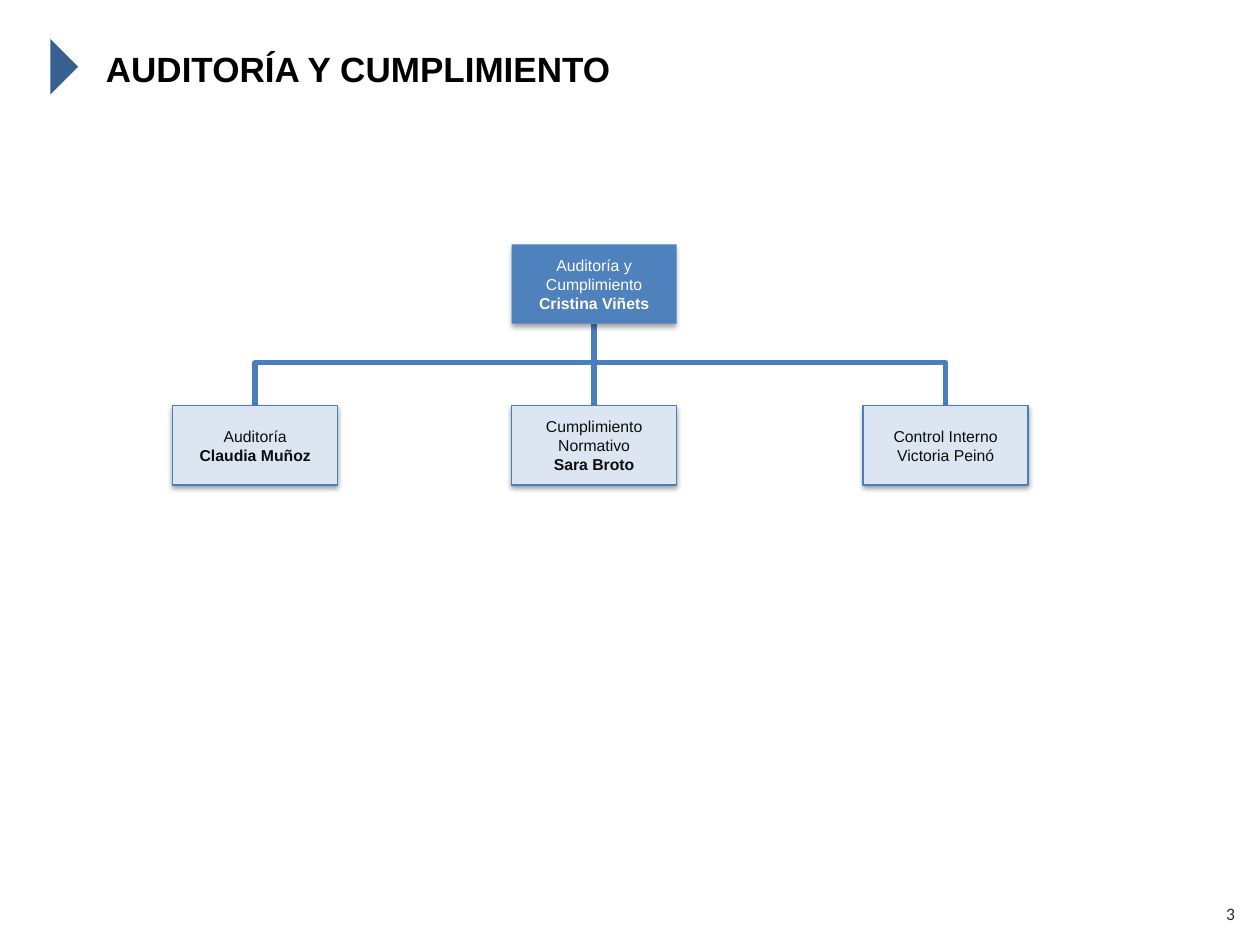
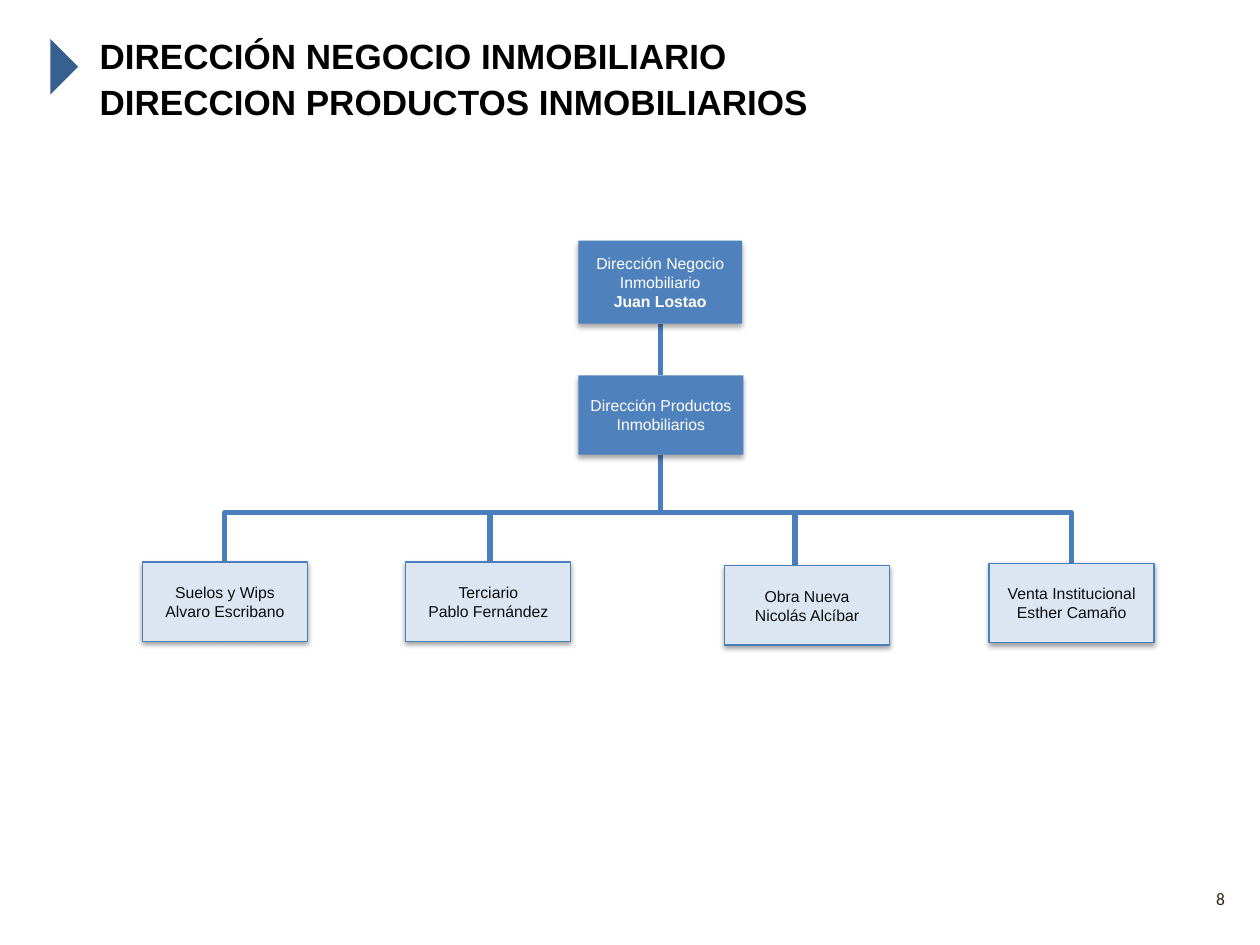
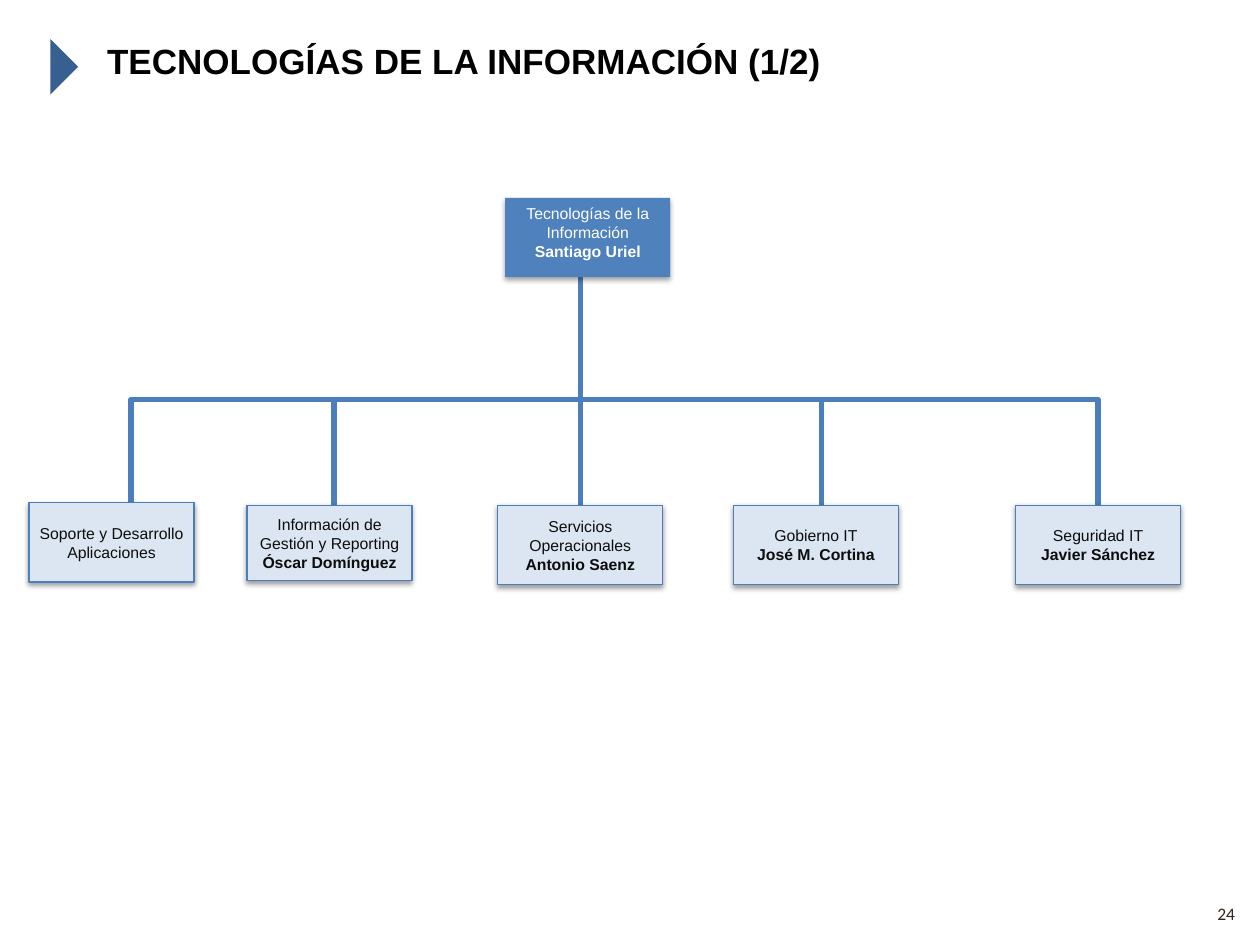
from dataclasses import dataclass

from lxml.etree import SubElement
from pptx import Presentation
from pptx.dml.color import RGBColor
from pptx.enum.shapes import MSO_CONNECTOR as Link, MSO_SHAPE as Shape
from pptx.enum.text import MSO_ANCHOR as Anchor, MSO_AUTO_SIZE as AutoSize, PP_ALIGN as Align
from pptx.oxml.ns import qn
from pptx.util import Inches, Pt

HEAD_FILL = "4F81BD"
UNIT_FILL = "DCE6F2"
LINE = "4B7EBC"
MARKER = "376091"
UNIT_TEXT = "0D0D0D"
NUMBER_TEXT = "35261A"
WHITE = "FFFFFF"
BLACK = "000000"
TITLE_ONLY = 5


@dataclass
class Unit:
    left: float
    top: float
    lines: tuple
    bold_name: bool = False
    width: float = 1.31
    height: float = 0.63
    line_x: float = None
    anchor: Anchor = Anchor.MIDDLE

    @property
    def stem(self):
        return self.line_x or self.left + self.width / 2

    @property
    def bottom(self):
        return self.top + self.height


def color(hex_text):
    return RGBColor.from_string(hex_text)


def set_font(para, name, size, hex_text, bold=False):
    para.font.name = name
    para.font.size = Pt(size)
    para.font.color.rgb = color(hex_text)
    para.font.bold = bold


def add_shadow(shape, alpha, distance):
    shape.shadow.inherit = False
    effects = shape.element.spPr.find(qn("a:effectLst"))
    shadow = SubElement(effects, qn("a:outerShdw"), blurRad=str(Pt(3.1)),
                        dist=str(Pt(distance)), dir="5400000", rotWithShape="0")
    tint = SubElement(shadow, qn("a:srgbClr"), val=BLACK)
    SubElement(tint, qn("a:alpha"), val=str(alpha * 1000))


def add_line(page, start, end, corner=False):
    kind = Link.ELBOW if corner else Link.STRAIGHT
    line = page.shapes.add_connector(kind, *(Inches(value) for value in (*start, *end)))
    line.line.color.rgb = color(LINE)
    line.line.width = Pt(3)
    properties = line.element.spPr
    if corner:
        properties.find(qn("a:prstGeom")).set("prst", "bentConnector2")
    SubElement(properties, qn("a:effectLst"))


def add_unit(page, unit, is_head):
    box = page.shapes.add_shape(Shape.RECTANGLE, Inches(unit.left), Inches(unit.top),
                                Inches(unit.width), Inches(unit.height))
    box.fill.solid()
    box.fill.fore_color.rgb = color(HEAD_FILL if is_head else UNIT_FILL)
    if is_head:
        box.line.fill.background()
        add_shadow(box, 35, 1.8)
    else:
        box.line.color.rgb = color(LINE)
        box.line.width = Pt(0.75)
        add_shadow(box, 38, 1.6)
    frame = box.text_frame
    frame.word_wrap = True
    frame.vertical_anchor = unit.anchor
    frame.margin_left = frame.margin_right = Inches(0.04 if is_head else 0)
    frame.text = "\n".join(unit.lines)
    for para in frame.paragraphs:
        para.alignment = Align.CENTER
        set_font(para, "Arial", 9, WHITE if is_head else UNIT_TEXT)
    frame.paragraphs[-1].font.bold = unit.bold_name


def add_chart_tree(page, heads, units, bus):
    for upper, lower in zip(heads, heads[1:]):
        add_line(page, (upper.stem, upper.bottom), (upper.stem, lower.top))
    stem = heads[-1].stem
    add_line(page, (stem, heads[-1].bottom), (stem, bus))
    for unit in units:
        outer = unit in (units[0], units[-1])
        start = (stem if outer else unit.stem, bus)
        add_line(page, start, (unit.stem, unit.top), corner=outer)
    for unit in heads + units:
        add_unit(page, unit, unit in heads)


def add_page(deck, title, title_box, number, number_box):
    page = deck.slides.add_slide(deck.slide_layouts[TITLE_ONLY])
    marker = page.shapes.add_shape(Shape.ISOSCELES_TRIANGLE, Inches(0.29), Inches(0.42),
                                   Inches(0.44), Inches(0.22))
    marker.rotation = 90
    marker.fill.solid()
    marker.fill.fore_color.rgb = color(MARKER)
    marker.line.fill.background()
    marker.shadow.inherit = False

    heading = page.shapes.title
    heading.left, heading.top, heading.width, heading.height = map(Inches, title_box)
    frame = heading.text_frame
    frame.text = title
    frame.word_wrap = True
    frame.auto_size = AutoSize.SHAPE_TO_FIT_TEXT
    frame.vertical_anchor = Anchor.MIDDLE
    para = frame.paragraphs[0]
    para.alignment = Align.LEFT
    para.line_spacing = 1.1
    set_font(para, "Arial", 20, BLACK, bold=True)

    footer = page.shapes.add_textbox(*map(Inches, (*number_box, 2.33, 0.4))).text_frame
    footer.word_wrap = True
    footer.vertical_anchor = Anchor.MIDDLE
    footer.text = number
    para = footer.paragraphs[0]
    para.alignment = Align.RIGHT
    set_font(para, "Calibri", 10, NUMBER_TEXT)
    return page


def add_audit(deck):
    page = add_page(deck, "AUDITORÍA Y CUMPLIMIENTO", (0.74, 0.31, 8.95, 0.44),
                    "3", (7.57, 7.05))
    heads = [Unit(4.06, 1.94, ("Auditoría y Cumplimiento", "Cristina Viñets"), True)]
    units = [
        Unit(1.37, 3.22, ("Auditoría", "Claudia Muñoz"), True),
        Unit(4.06, 3.22, ("Cumplimiento Normativo", "Sara Broto"), True),
        Unit(6.85, 3.22, ("Control Interno", "Victoria Peinó")),
    ]
    add_chart_tree(page, heads, units, bus=2.88)


def add_real_estate(deck):
    title = "DIRECCIÓN NEGOCIO INMOBILIARIO\vDIRECCION PRODUCTOS INMOBILIARIOS"
    page = add_page(deck, title, (0.69, 0.2, 8.95, 0.81), "8", (7.49, 6.93))
    heads = [
        Unit(4.59, 1.91, ("Dirección Negocio", "Inmobiliario", "Juan Lostao"), True,
             width=1.3, height=0.66),
        Unit(4.59, 2.98, ("Dirección Productos Inmobiliarios",)),
    ]
    units = [
        Unit(1.13, 4.46, ("Suelos y Wips", "Alvaro Escribano")),
        Unit(3.22, 4.46, ("Terciario", "Pablo Fernández"), line_x=3.89),
        Unit(5.75, 4.49, ("Obra Nueva", "Nicolás Alcíbar"), line_x=6.31),
        Unit(7.85, 4.47, ("Venta Institucional", "Esther Camaño")),
    ]
    add_chart_tree(page, heads, units, bus=4.07)


def add_technology(deck):
    page = add_page(deck, "TECNOLOGÍAS DE LA INFORMACIÓN (1/2)", (0.75, 0.24, 8.95, 0.44),
                    "24", (7.57, 7.05))
    heads = [Unit(4.01, 1.57, ("Tecnologías de la Información", "Santiago Uriel"), True,
                  line_x=4.61, anchor=Anchor.TOP)]
    units = [
        Unit(0.23, 3.99, ("Soporte y Desarrollo Aplicaciones",), line_x=1.04),
        Unit(1.96, 4.01, ("Información de", "Gestión y Reporting", "Óscar Domínguez"), True,
             height=0.6, line_x=2.65),
        Unit(3.95, 4.01, ("Servicios Operacionales", "Antonio Saenz"), True),
        Unit(5.82, 4.01, ("Gobierno IT", "José M. Cortina"), True, line_x=6.52),
        Unit(8.06, 4.01, ("Seguridad IT", "Javier Sánchez"), True),
    ]
    add_chart_tree(page, heads, units, bus=3.17)


def main():
    deck = Presentation()
    deck.slide_width, deck.slide_height = Inches(10), Inches(7.5)
    for add_slide in (add_audit, add_real_estate, add_technology):
        add_slide(deck)
    deck.save("out.pptx")


if __name__ == "__main__":
    main()
